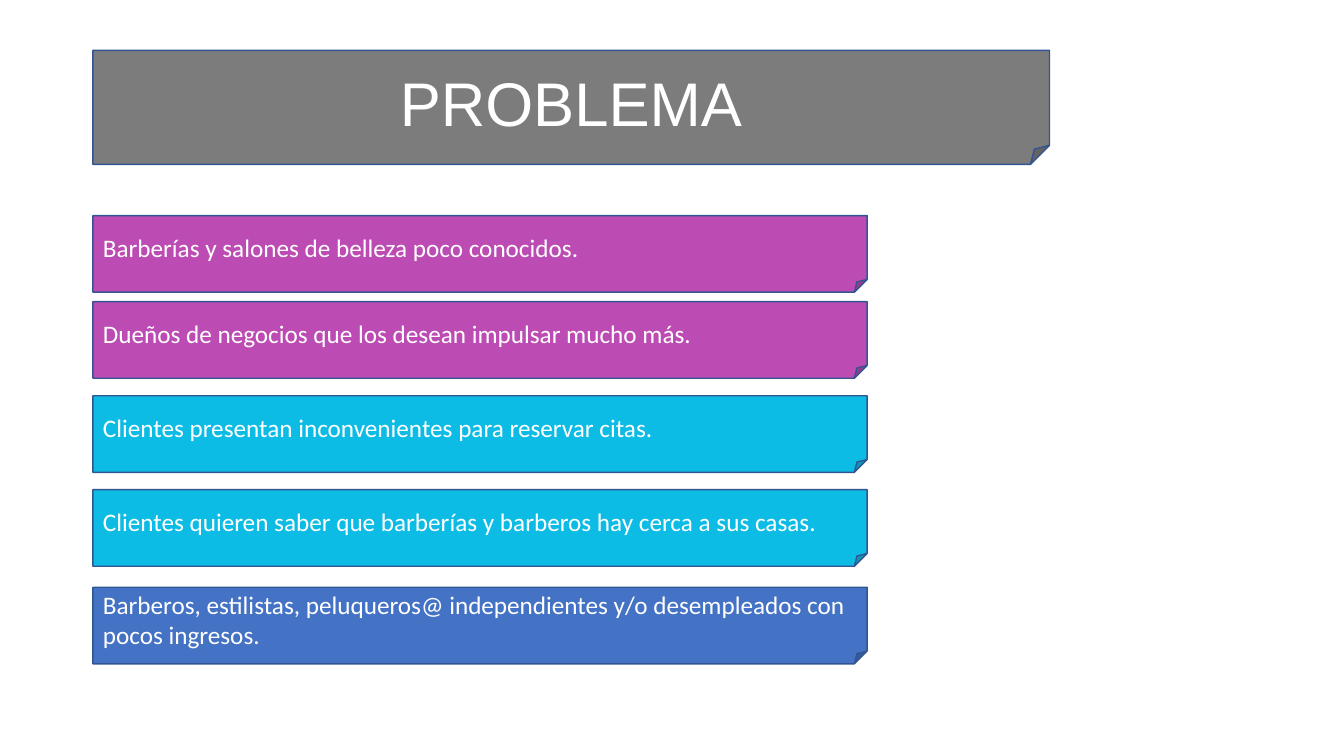
import pptx
import pptx.dml.color
import pptx.enum.shapes
import pptx.enum.text
import pptx.util

Pt = pptx.util.Pt
ALIGN = pptx.enum.text.PP_ALIGN

COLORS = {
    "banner": "7C7C7C",
    "business": "BC4CB4",
    "client": "0DBCE5",
    "barber": "4472C4",
    "outline": "325491",
    "text": "FFFFFF",
}

LEFT = 66.4
CARD_WIDTH = 553
CARD_HEIGHT = 54.7
PROBLEMS = [
    (154, "business", "Barberías y salones de belleza poco conocidos."),
    (215.5, "business", "Dueños de negocios que los desean impulsar mucho más."),
    (282.7, "client", "Clientes presentan inconvenientes para reservar citas."),
    (349.8, "client", "Clientes quieren saber que barberías y barberos hay cerca a sus casas."),
    (419.5, "barber", "Barberos, estilistas, peluqueros@ independientes y/o desempleados con pocos ingresos."),
]


def color(name):
    """Return the named palette colour."""
    return pptx.dml.color.RGBColor.from_string(COLORS[name])


def add_card(page, box, fill):
    """Draw a folded-corner card in the box (left, top, width, height)."""
    card = page.shapes.add_shape(
        pptx.enum.shapes.MSO_SHAPE.FOLDED_CORNER, *map(Pt, box))
    card.shadow.inherit = False
    card.fill.solid()
    card.fill.fore_color.rgb = color(fill)
    card.line.color.rgb = color("outline")
    card.line.width = Pt(1)
    return card


def write_text(frame, text, font, size, align):
    """Write one vertically centred paragraph into the text frame."""
    frame.word_wrap = True
    frame.auto_size = pptx.enum.text.MSO_AUTO_SIZE.NONE
    frame.vertical_anchor = pptx.enum.text.MSO_ANCHOR.MIDDLE
    para = frame.paragraphs[0]
    para.alignment = align
    span = para.add_run()
    span.text = text
    span.font.name = font
    span.font.size = Pt(size)
    span.font.color.rgb = color("text")


def add_banner(page, box):
    """Place the title over a folded-corner card filling the box."""
    add_card(page, box, "banner")
    left, top, width, height = box
    title = page.shapes.title
    title.left, title.top = Pt(left), Pt(top)
    title.width, title.height = Pt(width), Pt(height * 0.9)
    write_text(title.text_frame, "PROBLEMA", "Arial", 44, ALIGN.CENTER)
    page.shapes._spTree.append(title._element)


def add_problem(page, box, fill, text):
    """Place one problem statement as a card in the box."""
    card = add_card(page, box, fill)
    write_text(card.text_frame, text, "Calibri", 18, ALIGN.LEFT)


def main():
    """Build and save the deck."""
    deck = pptx.Presentation()
    deck.slide_width, deck.slide_height = Pt(960), Pt(540)
    page = deck.slides.add_slide(deck.slide_layouts[5])
    add_banner(page, (LEFT, 36, 683.3, 81.4))
    for top, fill, text in PROBLEMS:
        add_problem(page, (LEFT, top, CARD_WIDTH, CARD_HEIGHT), fill, text)
    deck.save("out.pptx")


if __name__ == "__main__":
    main()
